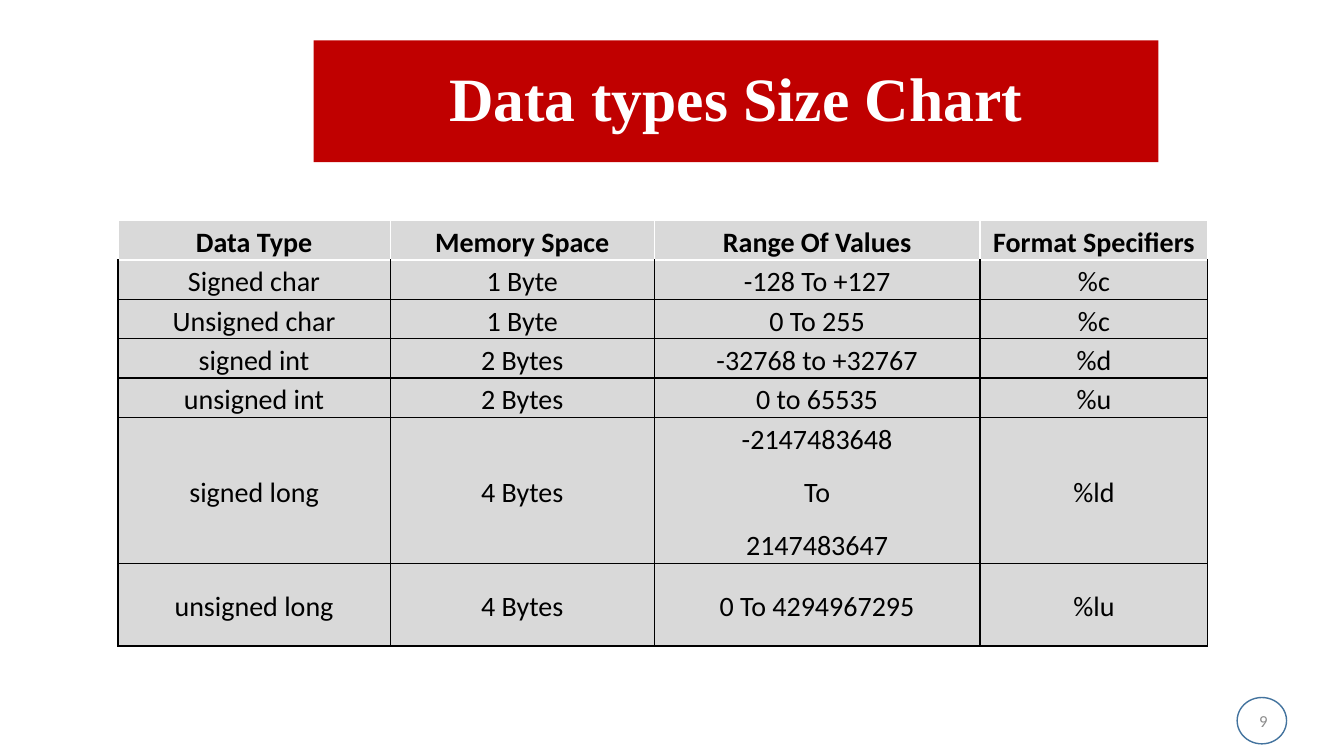
from lxml import etree
from pptx import Presentation
from pptx import util as u
from pptx.dml.color import RGBColor
from pptx.enum import shapes, text
from pptx.oxml.ns import qn

RED = RGBColor(0xC0, 0x00, 0x00)
WHITE = RGBColor(0xFF, 0xFF, 0xFF)
BLACK = RGBColor(0x00, 0x00, 0x00)
PALE = RGBColor(0xD9, 0xD9, 0xD9)
GRAY = RGBColor(0x8C, 0x8C, 0x8C)
BLUE = RGBColor(0x43, 0x73, 0x9E)

COLS = [2.7, 2.62, 3.23, 2.26]
ROWS = [0.39] * 5 + [1.45, 0.82]
TYPES = [
    ["Data Type", "Memory Space", "Range Of Values", "Format Specifiers"],
    ["Signed char", "1 Byte", "-128 To +127", "%c"],
    ["Unsigned char", "1 Byte", "0 To 255", "%c"],
    ["signed int", "2 Bytes", "-32768 to +32767", "%d"],
    ["unsigned int", "2 Bytes", "0 to 65535", "%u"],
    ["signed long", "4 Bytes", "-2147483648\nTo\n2147483647", "%ld"],
    ["unsigned long", "4 Bytes", "0 To 4294967295", "%lu"],
]


class Deck:
    def __init__(self):
        self.prs = Presentation()
        self.prs.slide_width = u.Inches(13.33)
        self.prs.slide_height = u.Inches(7.5)
        self.slide = self.prs.slides.add_slide(self.prs.slide_layouts[6])
        self.body = "Calibri"
        self.head = "Times New Roman"

    def label(self, frame, words, size, color, font, bold=False,
              align=text.PP_ALIGN.CENTER, line=1.0, after=0):
        frame.text = words
        frame.word_wrap = True
        for para in frame.paragraphs:
            para.alignment = align
            para.line_spacing = line
            para.space_after = u.Pt(after)
            for run in para.runs:
                run.font.size = u.Pt(size)
                run.font.name = font
                run.font.bold = bold
                run.font.color.rgb = color

    def shape(self, kind, box, fill=None, line=None):
        item = self.slide.shapes.add_shape(kind, *map(u.Inches, box))
        item.shadow.inherit = False
        if fill is None:
            item.fill.background()
        else:
            item.fill.solid()
            item.fill.fore_color.rgb = fill
        if line is None:
            item.line.fill.background()
        else:
            item.line.color.rgb = line
            item.line.width = u.Pt(1)
        return item

    def title(self, words, box):
        bar = self.shape(shapes.MSO_SHAPE.RECTANGLE, box, fill=RED)
        bar.text_frame.vertical_anchor = text.MSO_ANCHOR.MIDDLE
        self.label(bar.text_frame, words, 44, WHITE, self.head, True, line=0.9)

    def number(self, words, box):
        note = self.slide.shapes.add_textbox(*map(u.Inches, box))
        note.text_frame.vertical_anchor = text.MSO_ANCHOR.MIDDLE
        self.label(note.text_frame, words, 12, GRAY, self.body,
                   align=text.PP_ALIGN.RIGHT)

    def edge(self, cell, colors):
        """Draw the left, right, top and bottom borders of a cell."""
        props = cell._tc.get_or_add_tcPr()
        for i, (side, color) in enumerate(zip("LRTB", colors)):
            line = etree.Element(qn(f"a:ln{side}"), w=str(u.Pt(1)))
            fill = etree.SubElement(line, qn("a:solidFill"))
            etree.SubElement(fill, qn("a:srgbClr"), val=str(color))
            props.insert(i, line)

    def cell(self, cell, words, row):
        cell.fill.solid()
        cell.fill.fore_color.rgb = PALE
        cell.vertical_anchor = text.MSO_ANCHOR.MIDDLE
        cell.margin_left = cell.margin_right = u.Inches(0.07)
        cell.margin_top = cell.margin_bottom = 0
        self.label(cell.text_frame, words, 20, BLACK, self.body,
                   bold=row == 0, line=1.15, after=10)
        side = WHITE if row == 0 else BLACK
        top = WHITE if row <= 1 else BLACK
        self.edge(cell, [side, side, top, side])

    def table(self, data, left, top, cols, rows):
        box = map(u.Inches, (left, top, sum(cols), sum(rows)))
        grid = self.slide.shapes.add_table(len(rows), len(cols), *box).table
        for col, width in zip(grid.columns, cols):
            col.width = u.Inches(width)
        for r, height in enumerate(rows):
            grid.rows[r].height = u.Inches(height)
            for c, words in enumerate(data[r]):
                self.cell(grid.cell(r, c), words, r)


def main():
    deck = Deck()
    deck.number("9", (9.67, 6.95, 3, 0.4))
    deck.shape(shapes.MSO_SHAPE.OVAL, (12.27, 6.92, 0.49, 0.46), line=BLUE)
    deck.table(TYPES, 1.17, 2.19, COLS, ROWS)
    deck.title("Data types Size Chart", (3.11, 0.4, 8.38, 1.21))
    deck.prs.save("out.pptx")


if __name__ == "__main__":
    main()
